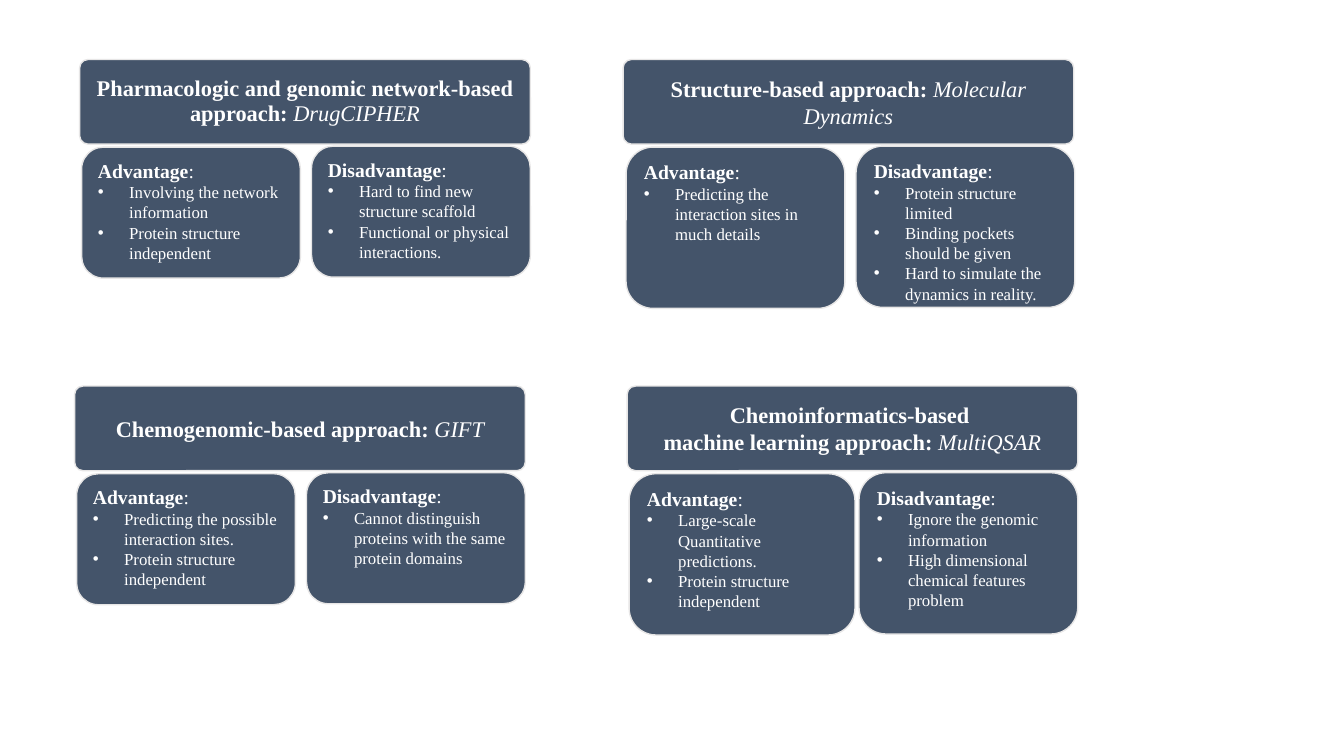
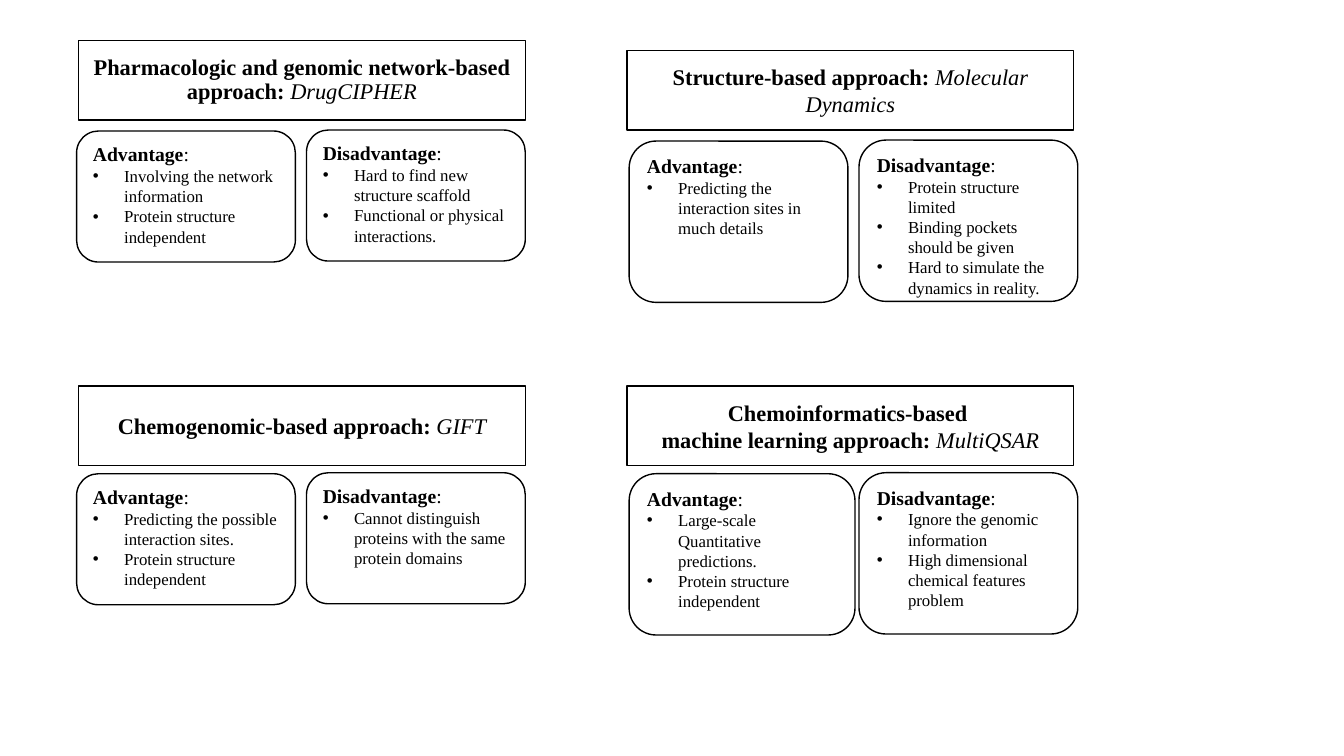
from collections import namedtuple

from lxml.etree import SubElement
from pptx import Presentation
from pptx.dml.color import RGBColor
from pptx.enum.shapes import MSO_SHAPE
from pptx.enum.text import MSO_ANCHOR, PP_ALIGN
from pptx.oxml.ns import qn
from pptx.util import Inches, Pt

WHITE = RGBColor(0xFF, 0xFF, 0xFF)
BLACK = RGBColor(0x00, 0x00, 0x00)
SLATE = RGBColor(0x44, 0x54, 0x6A)
PALE_GRAY = RGBColor(0xE7, 0xE6, 0xE6)
FONT = "Times New Roman"

HEADING_SIZE, LABEL_SIZE, POINT_SIZE = 16, 14, 12
CARD_STEP = 2.28
CARD_RISE = 0.01
CARD_WIDTH = 2.17
BULLET_INDENT = 0.31

Approach = namedtuple(
    "Approach",
    "heading method advantages disadvantages card_height advantage_width line_spacing",
)
Style = namedtuple("Style", "fill line text heading_shape heading_size")

APPROACHES = [
    Approach(
        ["Pharmacologic and genomic network-based approach: "],
        "DrugCIPHER",
        ["Involving the network information", "Protein structure independent"],
        ["Hard to find new structure scaffold", "Functional or physical interactions."],
        1.3, CARD_WIDTH, 0.9,
    ),
    Approach(
        ["Chemogenomic-based approach: "],
        "GIFT",
        ["Predicting the possible interaction sites.", "Protein structure independent"],
        ["Cannot distinguish proteins with the same protein domains"],
        1.3, CARD_WIDTH, 1.0,
    ),
    Approach(
        ["Structure-based approach: "],
        "Molecular Dynamics",
        ["Predicting the interaction sites in much details"],
        [
            "Protein structure limited",
            "Binding pockets should be given",
            "Hard to simulate the dynamics in reality.",
        ],
        1.6, CARD_WIDTH, 1.0,
    ),
    Approach(
        ["Chemoinformatics-based ", "machine learning approach: "],
        "MultiQSAR",
        ["Large-scale Quantitative predictions.", "Protein structure independent"],
        ["Ignore the genomic information", "High dimensional chemical features problem"],
        1.6, 2.24, 1.0,
    ),
]

FILLED = Style(SLATE, PALE_GRAY, WHITE, MSO_SHAPE.ROUNDED_RECTANGLE, (4.47, 0.84))
OUTLINED = Style(WHITE, BLACK, BLACK, MSO_SHAPE.RECTANGLE, (4.43, 0.79))

SLIDES = [
    (FILLED, [
        ((0.79, 0.59), (0.81, 1.46)),
        ((0.74, 3.83), (0.76, 4.7)),
        ((6.18, 0.59), (6.21, 1.46)),
        ((6.22, 3.83), (6.24, 4.7)),
    ]),
    (OUTLINED, [
        ((0.78, 0.4), (0.76, 1.3)),
        ((0.78, 3.83), (0.76, 4.7)),
        ((6.22, 0.5), (6.24, 1.4)),
        ((6.22, 3.83), (6.24, 4.7)),
    ]),
]


def add_box(group, preset, position, size, style, corner):
    box = group.shapes.add_shape(preset, *map(Inches, (*position, *size)))
    if preset == MSO_SHAPE.ROUNDED_RECTANGLE:
        box.adjustments[0] = corner
    box.shadow.inherit = False
    box.fill.solid()
    box.fill.fore_color.rgb = style.fill
    box.line.color.rgb = style.line
    box.line.width = Pt(1)
    box.text_frame.word_wrap = True
    return box


def add_run(paragraph, text, size, color, bold=False, italic=False):
    run = paragraph.add_run()
    run.text = text
    run.font.name = FONT
    run.font.size = Pt(size)
    run.font.color.rgb = color
    run.font.bold = bold
    run.font.italic = italic


def add_bullet(paragraph):
    properties = paragraph._p.get_or_add_pPr()
    properties.set("marL", str(Inches(BULLET_INDENT)))
    properties.set("indent", str(-Inches(BULLET_INDENT)))
    SubElement(properties, qn("a:buFont"), typeface="Arial")
    SubElement(properties, qn("a:buChar"), char="•")


def add_heading(group, approach, position, style):
    heading = add_box(group, style.heading_shape, position, style.heading_size, style, 0.1)
    frame = heading.text_frame
    frame.vertical_anchor = MSO_ANCHOR.MIDDLE
    frame.margin_left = frame.margin_right = Inches(0.06)
    frame.margin_top = frame.margin_bottom = Inches(0.04)
    for index, line in enumerate(approach.heading):
        paragraph = frame.add_paragraph() if index else frame.paragraphs[0]
        paragraph.alignment = PP_ALIGN.CENTER
        paragraph.line_spacing = approach.line_spacing
        add_run(paragraph, line, HEADING_SIZE, style.text, bold=True)
    add_run(paragraph, approach.method, HEADING_SIZE, style.text, italic=True)


def add_card(group, label, points, position, size, style):
    card = add_box(group, MSO_SHAPE.ROUNDED_RECTANGLE, position, size, style, 0.167)
    frame = card.text_frame
    frame.vertical_anchor = MSO_ANCHOR.TOP
    title = frame.paragraphs[0]
    title.alignment = PP_ALIGN.LEFT
    add_run(title, label, LABEL_SIZE, style.text, bold=True)
    add_run(title, ":", LABEL_SIZE, style.text)
    for point in points:
        paragraph = frame.add_paragraph()
        paragraph.alignment = PP_ALIGN.LEFT
        add_bullet(paragraph)
        add_run(paragraph, point, POINT_SIZE, style.text)


def add_approach(slide, approach, heading_position, card_position, style):
    group = slide.shapes.add_group_shape()
    add_heading(group, approach, heading_position, style)
    left, top = card_position
    add_card(group, "Advantage", approach.advantages, card_position,
             (approach.advantage_width, approach.card_height), style)
    add_card(group, "Disadvantage", approach.disadvantages,
             (left + CARD_STEP, top - CARD_RISE),
             (CARD_WIDTH, approach.card_height), style)


def main():
    presentation = Presentation()
    presentation.slide_width = Inches(13.33)
    presentation.slide_height = Inches(7.5)
    for style, positions in SLIDES:
        slide = presentation.slides.add_slide(presentation.slide_layouts[6])
        for approach, (heading_position, card_position) in zip(APPROACHES, positions):
            add_approach(slide, approach, heading_position, card_position, style)
    presentation.save("out.pptx")


if __name__ == "__main__":
    main()
